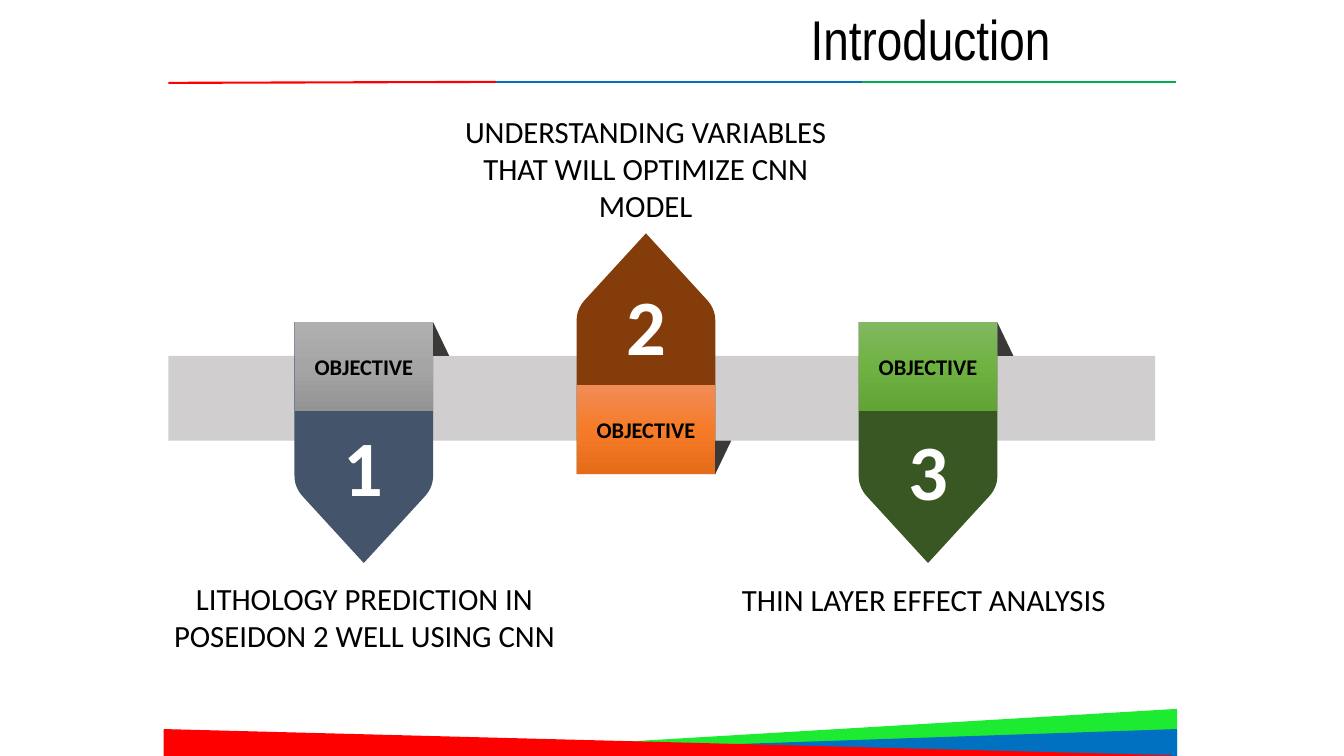
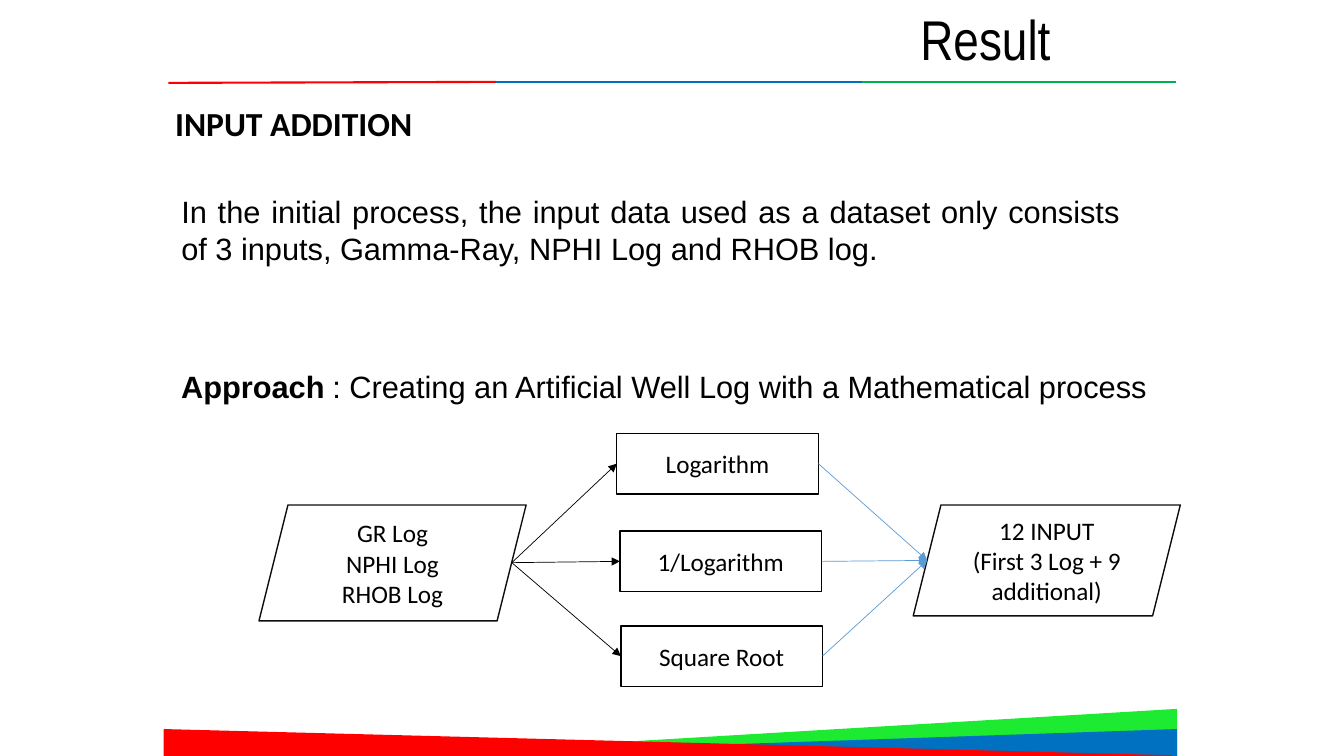
from lxml import etree
from pptx import Presentation
from pptx.dml.color import RGBColor
from pptx.enum.shapes import MSO_CONNECTOR as Conn, MSO_SHAPE as Kind
from pptx.enum.text import MSO_ANCHOR as Anchor, PP_ALIGN as Align
from pptx.oxml import parse_xml
from pptx.oxml.ns import nsdecls, qn
from pptx.util import Pt

BLACK, WHITE, BAND, FOLD = "000000", "FFFFFF", "D0CECE", "3B3838"
RED, BLUE, LIME, GREEN = "FF0000", "0070C0", "1DEB31", "00B050"
EDGE, SKY = "0D0D0D", "5B9BD5"

# left, top, width, height, colour, flip
WEDGES = [
    (283.7, 506.9, 556.6, 33.1, LIME, "flipH"),
    (290.9, 521.3, 549.4, 18.7, BLUE, "flipH"),
    (117.4, 521.3, 719.3, 18.7, RED, None),
]
# from, to, colour
RULES = [
    ((120.2, 59.2), (354.2, 58.5), RED),
    ((354.2, 58.5), (615.6, 58.5), BLUE),
    ((615.6, 58.5), (840, 58.5), GREEN),
]

# points up, body colour, label gradient, number top, caption and its place
GOALS = [
    (False, "44546A", ("AFAFAF", "A5A5A5", "939393"), 295.2,
     "LITHOLOGY PREDICTION IN POSEIDON 2 WELL USING CNN", (111.6, 410.4)),
    (True, "843C0B", ("F18C57", "F67B28", "E56C19"), 194.4,
     "UNDERSTANDING VARIABLES THAT WILL OPTIMIZE CNN MODEL", (312.5, 77)),
    (False, "385723", ("81B861", "6FB242", "62A336"), 298.1,
     "THIN LAYER EFFECT ANALYSIS", (511.2, 411.1)),
]
TAG_LEFT, TAG_STEP, TAG_W, TAG_H = 210.4, 201.5, 99, 172
LABEL_H, FOLD_W = 63.5, 11.5
BAND_TOP, BAND_H, REACH = 254.2, 60.5, 24

INTRO = ("In the initial process, the input data used as a dataset only "
         "consists of 3 inputs, Gamma-Ray, NPHI Log and RHOB log.")
LEAD = "Approach"
PLAN = "\t: Creating an Artificial Well Log with a Mathematical process"
STEPS = [("Logarithm", 440.6, 309.6), ("1/Logarithm", 442.8, 379.4),
         ("Square Root", 443.5, 447.1)]
SOURCE = ["GR Log", "NPHI Log", "RHOB Log"]
RESULT = ["12 INPUT", "(First 3 Log + 9 additional)"]


def rgb(code):
    return RGBColor.from_string(code)


def shape(slide, kind, box, fill, line=None, flip=None):
    item = slide.shapes.add_shape(kind, *map(Pt, box))
    paint(item, fill, line)
    if flip:
        item.element.spPr.find(qn("a:xfrm")).set(flip, "1")
    return item


def paint(item, fill, line=None):
    item.shadow.inherit = False
    item.fill.solid()
    item.fill.fore_color.rgb = rgb(fill)
    if line:
        item.line.color.rgb = rgb(line)
        item.line.width = Pt(1)
    else:
        item.line.fill.background()


def shade(item, stops):
    """Replace the fill by a gradient from top to bottom."""
    marks = "".join(
        f'<a:gs pos="{i * 50000}"><a:srgbClr val="{code}"/></a:gs>'
        for i, code in enumerate(stops))
    old = item.element.spPr.find(qn("a:solidFill"))
    new = parse_xml(f'<a:gradFill {nsdecls("a")}><a:gsLst>{marks}</a:gsLst>'
                    '<a:lin ang="5400000" scaled="0"/></a:gradFill>')
    item.element.spPr.replace(old, new)


def write(item, lines, size, font="Calibri", color=BLACK, bold=False,
          align=Align.CENTER, anchor=Anchor.TOP):
    frame = item.text_frame
    frame.word_wrap = True
    frame.vertical_anchor = anchor
    frame.text = "\n".join(lines)
    for para in frame.paragraphs:
        para.alignment = align
        for run in para.runs:
            style(run, size, font, color, bold)


def style(run, size, font, color, bold):
    run.font.size = Pt(size)
    run.font.name = font
    run.font.bold = bold
    run.font.color.rgb = rgb(color)


def label(slide, box, text, size, **look):
    item = slide.shapes.add_textbox(*map(Pt, box))
    write(item, [text], size, **look)
    return item


def join(slide, start, end, color, width, arrow=False):
    link = slide.shapes.add_connector(Conn.STRAIGHT, *map(Pt, start + end))
    link.line.width = Pt(width)
    link.line.color.rgb = rgb(color)
    props = link.element.spPr
    if arrow:
        etree.SubElement(props.find(qn("a:ln")), qn("a:tailEnd"),
                         type="triangle")
    etree.SubElement(props, qn("a:effectLst"))
    return link


def start(deck, title):
    """Add a slide with the shared title, rules and footer wedges."""
    slide = deck.slides.add_slide(deck.slide_layouts[5])
    head = slide.shapes.title
    head.left, head.top, head.width, head.height = map(
        Pt, (371.5, -0.7, 386, 55.4))
    write(head, [title], 40, font="Arial Narrow", align=Align.RIGHT)
    for *box, color, flip in WEDGES:
        shape(slide, Kind.RIGHT_TRIANGLE, box, color, color, flip)
    for begin, end, color in RULES:
        join(slide, begin, end, color, 1.5)
    return slide


def bezier(a, b, c, d, count=8):
    for i in range(count + 1):
        t = i / count
        s = 1 - t
        yield tuple(s**3 * p + 3 * s * s * t * q + 3 * s * t * t * r + t**3 * u
                    for p, q, r, u in zip(a, b, c, d))


def tag(slide, left, top, up, color):
    """Draw a flat-ended tag with soft shoulders and a pointed end."""
    curve = list(bezier((TAG_W, 110), (TAG_W, 115), (97, 120), (93.5, 124)))
    right = [(TAG_W, 0), *curve]
    mirror = [(TAG_W - x, y) for x, y in reversed(right)]
    dots = [(Pt(left + x), Pt(top + (TAG_H - y if up else y)))
            for x, y in right + [(TAG_W / 2, TAG_H)] + mirror]
    pen = slide.shapes.build_freeform(*dots[0], scale=1.0)
    pen.add_line_segments(dots[1:], close=True)
    paint(pen.convert_to_shape(), color)


def goals(deck):
    slide = start(deck, "Introduction")
    shape(slide, Kind.RECTANGLE, (120.2, BAND_TOP, 704.9, BAND_H), BAND)
    for i, (up, color, stops, num_top, text, place) in enumerate(GOALS):
        left = TAG_LEFT + i * TAG_STEP
        low = BAND_TOP + BAND_H
        top = low + REACH - TAG_H if up else BAND_TOP - REACH
        tag(slide, left, top, up, color)
        name_top = top + TAG_H - LABEL_H if up else top
        name = shape(slide, Kind.RECTANGLE,
                     (left, name_top, TAG_W, LABEL_H), BAND)
        shade(name, stops)
        write(name, ["OBJECTIVE"], 16, bold=True, anchor=Anchor.MIDDLE)
        frame = name.text_frame
        frame.margin_left = frame.margin_right = Pt(5)
        frame.margin_top = frame.margin_bottom = Pt(3)
        shape(slide, Kind.RIGHT_TRIANGLE,
              (left + TAG_W, low if up else top, FOLD_W, REACH), FOLD,
              flip="flipV" if up else None)
        label(slide, (left + 24, num_top, 51, 75), str(i + 1), 56,
              color=WHITE, bold=True)
        label(slide, (*place, 297.4, 87), text, 22)


def flow(deck):
    slide = start(deck, "Result")
    label(slide, (118, 69.8, 720, 40), "INPUT ADDITION", 24, bold=True,
          align=Align.LEFT)
    label(slide, (122.4, 133.9, 684.7, 60.5), INTRO, 22, font="Arial",
          align=Align.JUSTIFY)
    plan = label(slide, (122.4, 259.2, 744.5, 36), LEAD, 22, font="Arial",
                 bold=True, align=Align.LEFT)
    rest = plan.text_frame.paragraphs[0].add_run()
    rest.text = PLAN
    style(rest, 22, "Arial", BLACK, False)

    for box, lines in [((185, 360.7, 190.8, 82.8), SOURCE),
                       ((652.3, 360.7, 190.8, 79.2), RESULT)]:
        item = shape(slide, Kind.PARALLELOGRAM, box, WHITE, EDGE)
        write(item, lines, 18, anchor=Anchor.MIDDLE)

    fork, goal = (365.6, 401.9), (662.3, 400.3)
    for text, left, top in STEPS:
        step = shape(slide, Kind.RECTANGLE, (left, top, 144, 43.2),
                     WHITE, BLACK)
        write(step, [text], 18, anchor=Anchor.MIDDLE)
        join(slide, fork, fork, BLACK, 0.5, True).end_connect(step, 1)
        join(slide, goal, goal, SKY, 0.5, True).begin_connect(step, 3)


def main():
    deck = Presentation()
    deck.slide_width, deck.slide_height = Pt(960), Pt(540)
    goals(deck)
    flow(deck)
    deck.save("out.pptx")


if __name__ == "__main__":
    main()
